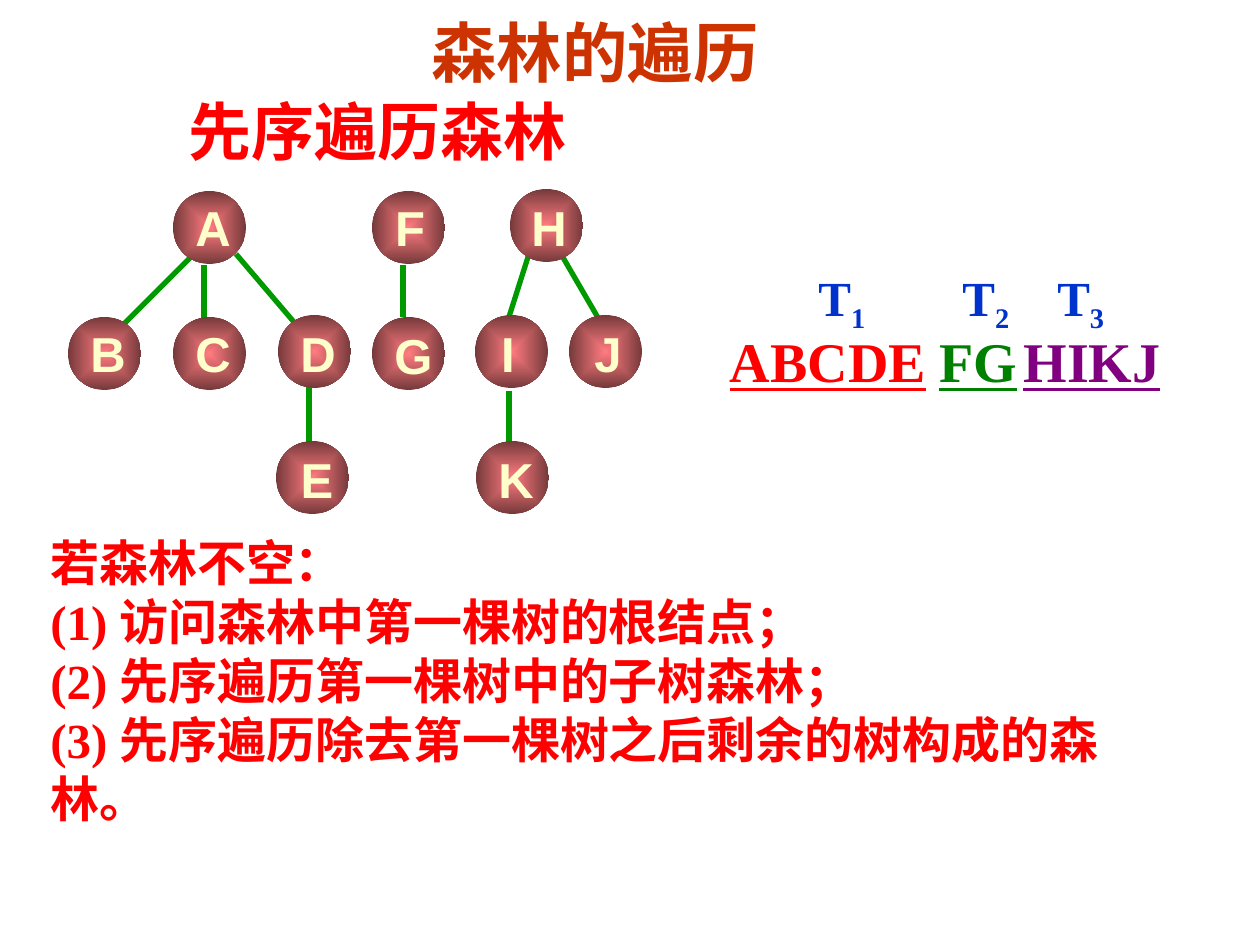
from lxml.etree import SubElement
from pptx import Presentation
from pptx.dml.color import RGBColor
from pptx.enum.shapes import MSO_CONNECTOR as CONN, MSO_SHAPE as SHAPE
from pptx.enum.text import MSO_ANCHOR as ANCHOR, MSO_AUTO_SIZE as AUTO, PP_ALIGN as ALIGN
from pptx.oxml.ns import qn
from pptx.util import Emu, Pt

PX = 914400 // 126
SERIF, SANS = "Times New Roman", "Arial"
COLORS = {
    "title": "CC3300", "red": "FF0000", "blue": "0033CC", "green": "008000",
    "purple": "800080", "edge": "009900", "label": "FFFFCC",
    "node_center": "FF7C80", "node_rim": "76393B",
}

NODE_SIZE = 73
LABEL_HEIGHT = 72
# letter: node left, node top, label center x, label top
NODES = {
    "A": (173, 191, 213, 191), "B": (68, 317, 108, 317),
    "C": (173, 317, 213, 317), "D": (278, 315, 318, 317),
    "E": (276, 441, 317, 443), "F": (372, 191, 410, 191),
    "G": (372, 317, 412, 319), "H": (510, 189, 549, 191),
    "I": (475, 315, 508, 317), "J": (569, 315, 608, 317),
    "K": (476, 441, 516, 443),
}
EDGES = [
    (561, 254, 604, 328), (529, 254, 509, 317), (509, 391, 509, 443),
    (236, 254, 299, 328), (194, 254, 120, 328), (204, 265, 204, 328),
    (403, 265, 403, 317), (309, 380, 309, 443),
]

# text, left, width, color
RESULTS = [
    ("ABCDE", 717, 222, "red"),
    ("FG", 927, 103, "green"),
    ("HIKJ", 1011, 162, "purple"),
]
TREE_TABS = (73, 217, 312)
STEPS = [
    "若森林不空：",
    "(1) 访问森林中第一棵树的根结点；",
    "(2) 先序遍历第一棵树中的子树森林；",
    "(3) 先序遍历除去第一棵树之后剩余的树构成的森林。",
]


def px(n):
    return Emu(round(n * PX))


def rgb(name):
    return RGBColor.from_string(COLORS[name])


def add_run(p, text, size, color, font=SERIF, underline=False, subscript=False):
    r = p.add_run()
    r.text = text
    r.font.size, r.font.name, r.font.bold = Pt(size), font, True
    r.font.color.rgb = rgb(color)
    if underline:
        r.font.underline = True
    if subscript:
        r._r.get_or_add_rPr().set("baseline", "-25000")


def add_frame(slide, box, wrap=False, anchor=ANCHOR.MIDDLE, grow=True):
    tf = slide.shapes.add_textbox(*map(px, box)).text_frame
    tf.word_wrap = wrap
    tf.vertical_anchor = anchor
    tf.auto_size = AUTO.SHAPE_TO_FIT_TEXT if grow else AUTO.NONE
    return tf


def add_text(slide, lines, box, size, color, align=ALIGN.LEFT, spacing=None,
             font=SERIF, underline=False, **frame):
    """Text box, one paragraph a line; no punctuation hangs past its edge."""
    tf = add_frame(slide, box, **frame)
    for i, line in enumerate(lines):
        p = tf.add_paragraph() if i else tf.paragraphs[0]
        p.alignment = align
        p._p.get_or_add_pPr().set("hangingPunct", "0")
        if spacing:
            p.line_spacing = spacing
        add_run(p, line, size, color, font, underline)


def add_tree_names(slide):
    """T1 to T3 on tab stops above the traversal results."""
    p = add_frame(slide, (733, 261, 386, 79), wrap=True).paragraphs[0]
    tabs = SubElement(p._p.get_or_add_pPr(), qn("a:tabLst"))
    for number, pos in enumerate(TREE_TABS, 1):
        SubElement(tabs, qn("a:tab"), pos=str(px(pos)), algn="l")
        add_run(p, "\tT", 28, "blue")
        add_run(p, str(number), 28, "blue", subscript=True)


def add_edge(slide, ends):
    s = slide.shapes.add_connector(CONN.STRAIGHT, *map(px, ends))
    s.line.color.rgb = rgb("edge")
    s.line.width = Pt(3)
    SubElement(s._element.spPr, qn("a:effectLst"))


def add_node(slide, left, top):
    s = slide.shapes.add_shape(SHAPE.OVAL, *map(px, (left, top, NODE_SIZE, NODE_SIZE)))
    s.shadow.inherit = False
    s.line.fill.background()
    s.fill.gradient()
    for stop, color in zip(s.fill.gradient_stops, ("node_center", "node_rim")):
        stop.color.rgb = rgb(color)
    grad = s._element.spPr.find(qn("a:gradFill"))
    grad.remove(grad.find(qn("a:lin")))
    path = SubElement(grad, qn("a:path"), path="rect")
    SubElement(path, qn("a:fillToRect"), l="50000", t="50000", r="50000", b="50000")


def add_label(slide, letter, center, top):
    width = 60
    add_text(slide, [letter], (center - width / 2, top, width, LABEL_HEIGHT), 28,
             "label", font=SANS, align=ALIGN.CENTER)


def main():
    prs = Presentation()
    prs.slide_width, prs.slide_height = px(1260), px(945)
    slide = prs.slides.add_slide(prs.slide_layouts[6])

    add_tree_names(slide)
    for text, left, width, color in RESULTS:
        add_text(slide, [text], (left, 320, width, 81), 32, color,
                 align=ALIGN.CENTER, underline=True)

    for ends in EDGES:
        add_edge(slide, ends)
    for letter, (left, top, center, label_top) in NODES.items():
        add_node(slide, left, top)
        add_label(slide, letter, center, label_top)

    add_text(slide, ["先序遍历森林"], (176, 86, 403, 88), 36, "red")
    add_text(slide, STEPS, (38, 556, 1135, 248), 28, "red", wrap=True)
    add_text(slide, ["森林的遍历"], (419, 15, 630, 94), 37.4, "title", font=SANS,
             spacing=0.9, wrap=True, anchor=ANCHOR.TOP, grow=False)
    prs.save("out.pptx")


if __name__ == "__main__":
    main()
